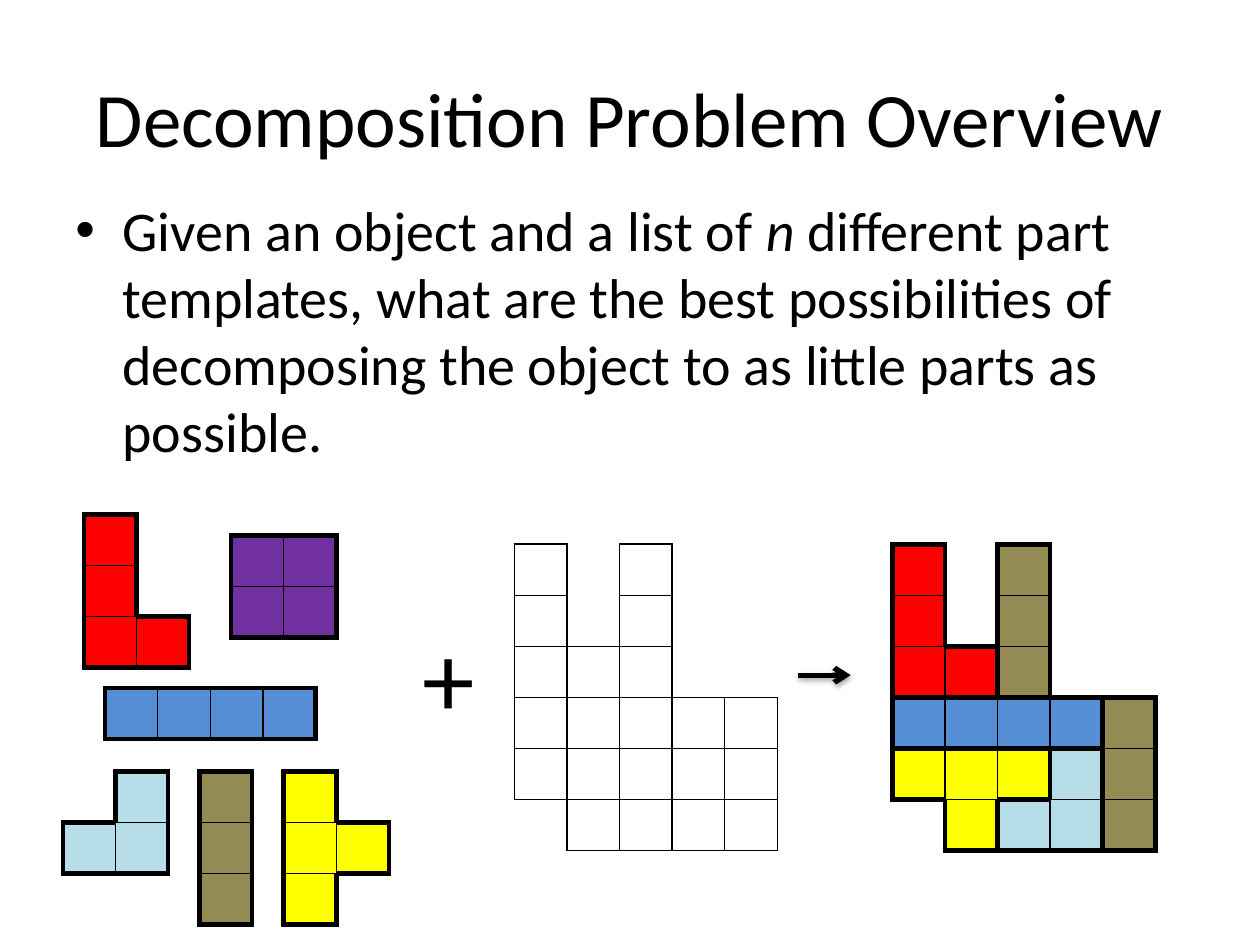
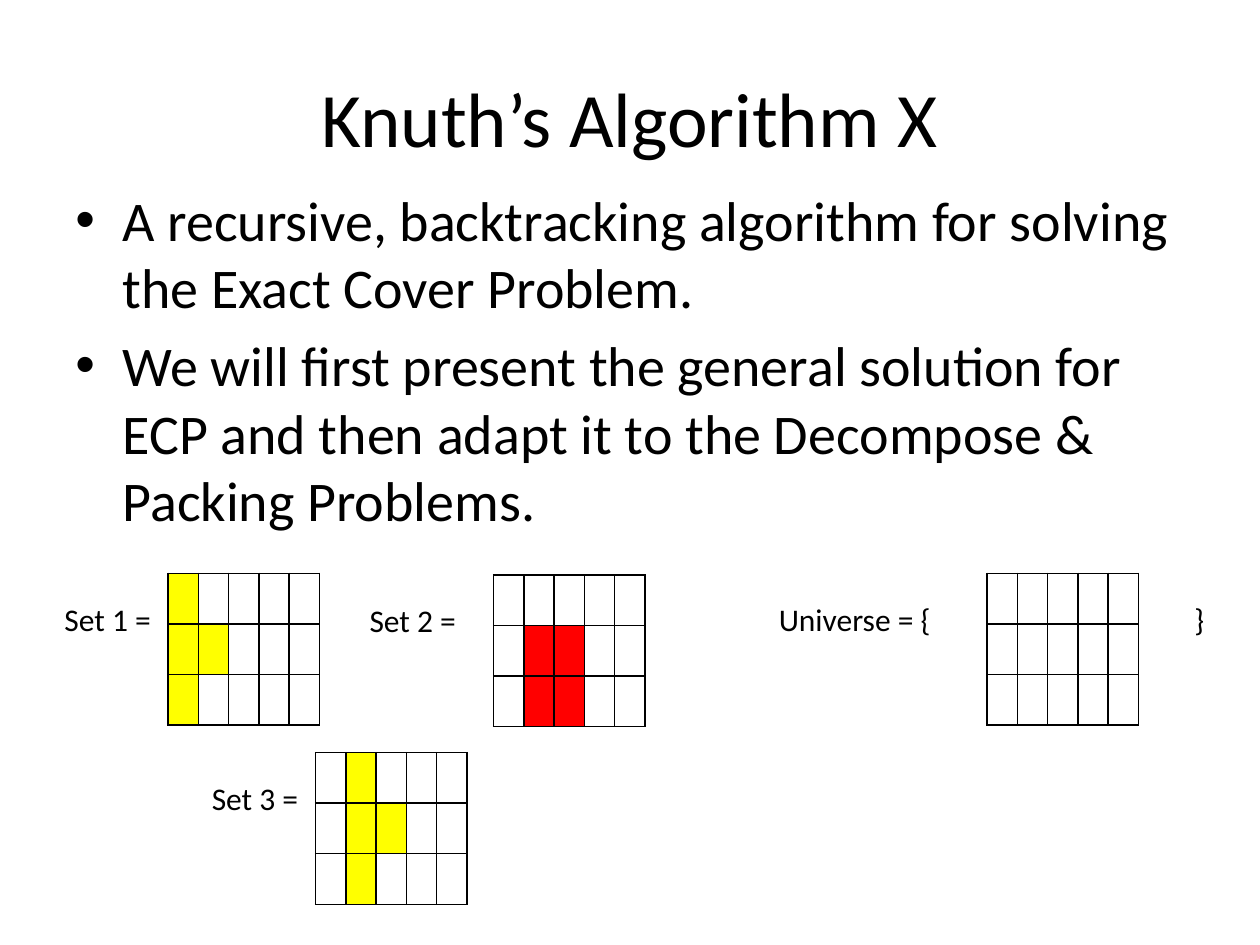
from collections import namedtuple
from dataclasses import dataclass, field

from lxml.etree import SubElement
from pptx import Presentation
from pptx.dml.color import RGBColor
from pptx.enum.shapes import MSO_CONNECTOR as Connector
from pptx.enum.text import MSO_ANCHOR as Anchor, PP_ALIGN as Align
from pptx.oxml import parse_xml
from pptx.oxml.ns import qn
from pptx.util import Cm, Pt

Box = namedtuple("Box", "left top width height")
NAMESPACE = 'xmlns:a="http://schemas.openxmlformats.org/drawingml/2006/main"'


@dataclass(frozen=True)
class Theme:
    """Colours, type sizes and line weights shared by the slides."""
    font: str = "Calibri"
    ink: str = "000000"
    title: int = 44
    body: int = 32
    label: int = 18
    sign: int = 60
    thin: int = 1
    thick: int = 3
    fills: dict = field(default_factory=lambda: {
        "R": "FF0000", "P": "7030A0", "B": "558ED5", "L": "B7DEE8",
        "K": "948A54", "Y": "FFFF00", "W": "FFFFFF"})


THEME = Theme()
TITLE_BOX = Box(1.27, 0.76, 22.86, 3.18)
UNIT = (1.06, 1.03)
SMALL_UNIT = (0.61, 1.02)
TEMPLATES = [
    (0.42, 0, ["R.", "R.", "RR"]),
    (3.39, 0.42, ["PP", "PP"]),
    (0.85, 3.5, ["BBBB"]),
    (0, 5.18, [".L", "LL"]),
    (2.75, 5.18, ["K", "K", "K"]),
    (4.45, 5.18, ["Y.", "YY", "Y."]),
]
OBJECT = ["W.W..", "W.W..", "WWW..", "WWWWW", "WWWWW", ".WWWW"]
SOLUTION = ["R.K..", "R.K..", "RRK..", "BBBBK", "YYYLK", ".YLLK"]
SETS = [
    ("Universe = {\t}", Box(15.45, 11.56, 9.95, 1.02), 4.45, ["WWWWW"] * 3),
    ("Set 1 =", Box(1.05, 11.56, 4.45, 1.02), 2.34, ["YWWWW", "YYWWW", "YWWWW"]),
    ("Set 2 =", Box(7.2, 11.59, 4.87, 1.02), 2.75, ["WWWWW", "WRRWW", "WRRWW"]),
    ("Set 3 =", Box(4.02, 15.17, 4.45, 1.02), 2.34, ["WYWWW", "WYYWW", "WYWWW"]),
]


def add_span(para, text, size, italic=False):
    """Append one styled run to a paragraph."""
    span = para.add_run()
    span.text = text
    span.font.name = THEME.font
    span.font.size = Pt(size)
    span.font.italic = italic
    span.font.color.rgb = RGBColor.from_string(THEME.ink)


def add_frame(page, box):
    """Add a wrapping text box and return its text frame."""
    frame = page.shapes.add_textbox(*map(Cm, box)).text_frame
    frame.word_wrap = True
    return frame


def add_title(page, text):
    """Place the centred slide title."""
    frame = add_frame(page, TITLE_BOX)
    frame.vertical_anchor = Anchor.MIDDLE
    para = frame.paragraphs[0]
    para.alignment = Align.CENTER
    add_span(para, text, THEME.title)


def add_bullets(page, box, bullets):
    """Fill a box with bulleted paragraphs made of (text, italic) spans."""
    frame = add_frame(page, box)
    for index, spans in enumerate(bullets):
        para = frame.add_paragraph() if index else frame.paragraphs[0]
        properties = para._p.get_or_add_pPr()
        properties.set("marL", str(Cm(0.95)))
        properties.set("indent", str(-Cm(0.95)))
        spacing = SubElement(properties, qn("a:spcBef"))
        SubElement(spacing, qn("a:spcPct")).set("val", "20000")
        SubElement(properties, qn("a:buFont")).set("typeface", "Arial")
        SubElement(properties, qn("a:buChar")).set("char", "•")
        for text, italic in spans:
            add_span(para, text, THEME.body, italic)


def add_label(page, box, text, size, tab=None):
    """Place a single line of text, with an optional tab stop."""
    para = add_frame(page, box).paragraphs[0]
    if tab:
        stops = SubElement(para._p.get_or_add_pPr(), qn("a:tabLst"))
        stop = SubElement(stops, qn("a:tab"))
        stop.set("pos", str(Cm(tab)))
        stop.set("algn", "l")
    add_span(para, text, size)


def edge_weight(here, there, outline):
    """Return the border weight between two neighbouring cells."""
    if here == there == ".":
        return 0
    return THEME.thin if here == there else outline


def set_border(cell, side, weight):
    """Draw or hide one side of a cell."""
    paint = (f'<a:solidFill><a:srgbClr val="{THEME.ink}"/></a:solidFill>'
             if weight else "<a:noFill/>")
    cell._tc.get_or_add_tcPr().append(parse_xml(
        f'<a:ln{side} {NAMESPACE} w="{Pt(weight)}">{paint}</a:ln{side}>'))


def add_grid(page, left, top, pattern, unit, outline):
    """Draw a pattern of letters as a table of coloured squares."""
    rows, columns = len(pattern), len(pattern[0])
    width, height = unit
    table = page.shapes.add_table(
        rows, columns, Cm(left), Cm(top),
        Cm(width * columns), Cm(height * rows)).table
    table.first_row = table.horz_banding = False
    for column in table.columns:
        column.width = Cm(width)
    for row in table.rows:
        row.height = Cm(height)
    padded = ["." * (columns + 2), *(f".{line}." for line in pattern),
              "." * (columns + 2)]
    sides = {"L": (0, -1), "R": (0, 1), "T": (-1, 0), "B": (1, 0)}
    for y, line in enumerate(pattern):
        for x, letter in enumerate(line):
            cell = table.cell(y, x)
            cell.margin_left = cell.margin_right = 0
            cell.margin_top = cell.margin_bottom = 0
            for side, (down, right) in sides.items():
                there = padded[y + 1 + down][x + 1 + right]
                set_border(cell, side, edge_weight(letter, there, outline))
            if letter == ".":
                cell.fill.background()
            else:
                cell.fill.solid()
                cell.fill.fore_color.rgb = RGBColor.from_string(THEME.fills[letter])


def add_arrow(page, box):
    """Draw a shadowed arrow along the top of a box."""
    arrow = page.shapes.add_connector(
        Connector.STRAIGHT, Cm(box.left), Cm(box.top),
        Cm(box.left + box.width), Cm(box.top))
    arrow.line.width = Pt(THEME.thick)
    arrow.line.color.rgb = RGBColor.from_string(THEME.ink)
    SubElement(arrow.line._get_or_add_ln(), qn("a:tailEnd")).set("type", "arrow")
    arrow._element.spPr.append(parse_xml(
        f'<a:effectLst {NAMESPACE}><a:outerShdw blurRad="{Pt(3.1)}" '
        f'dist="{Pt(1.8)}" dir="5400000" rotWithShape="0">'
        f'<a:srgbClr val="{THEME.ink}"><a:alpha val="35000"/></a:srgbClr>'
        '</a:outerShdw></a:effectLst>'))


def add_equation(page, box):
    """Show part templates plus an object leading to its decomposition."""
    for right, down, pattern in TEMPLATES:
        add_grid(page, box.left + right, box.top + down, pattern, UNIT, THEME.thick)
    add_label(page, Box(box.left + 6.99, box.top + 1.85, 1.9, 2.82), "+", THEME.sign)
    add_grid(page, box.left + 9.1, box.top + 0.6, OBJECT, UNIT, THEME.thin)
    add_arrow(page, Box(box.left + 14.82, box.top + 3.24, 1.06, 0))
    add_grid(page, box.left + 16.72, box.top + 0.6, SOLUTION, UNIT, THEME.thick)


def add_set(page, box, text, grid_offset, pattern):
    """Place a set name and, beside it, the grid of its cells."""
    add_label(page, Box(box.left, box.top + 0.41, box.width, box.height),
              text, THEME.label, 8.38 if "\t" in text else None)
    add_grid(page, box.left + grid_offset, box.top, pattern, SMALL_UNIT, THEME.thin)


def build_overview(page):
    """Build the slide that states the decomposition problem."""
    add_title(page, "Decomposition Problem Overview")
    add_bullets(page, Box(1.27, 3.81, 22.86, 12.57), [[
        ("Given an object and a list of ", False), ("n", True),
        (" different part templates, what are the best possibilities of "
         "decomposing the object to as little parts as possible.", False)]])
    add_equation(page, Box(1.27, 10.37, 22.02, 8.27))


def build_algorithm(page):
    """Build the slide that introduces the exact cover algorithm."""
    add_title(page, "Knuth’s Algorithm X")
    add_bullets(page, Box(1.27, 3.61, 22.86, 12.57), [
        [("A recursive, backtracking algorithm for solving the Exact Cover "
          "Problem.", False)],
        [("We will first present the general solution for ECP and then adapt "
          "it to the Decompose & Packing Problems.", False)]])
    for text, box, grid_offset, pattern in SETS:
        add_set(page, box, text, grid_offset, pattern)


def main():
    """Build and save the deck."""
    deck = Presentation()
    deck.slide_width, deck.slide_height = Cm(25.4), Cm(19.05)
    for build in (build_overview, build_algorithm):
        build(deck.slides.add_slide(deck.slide_layouts[6]))
    deck.save("out.pptx")


main()
